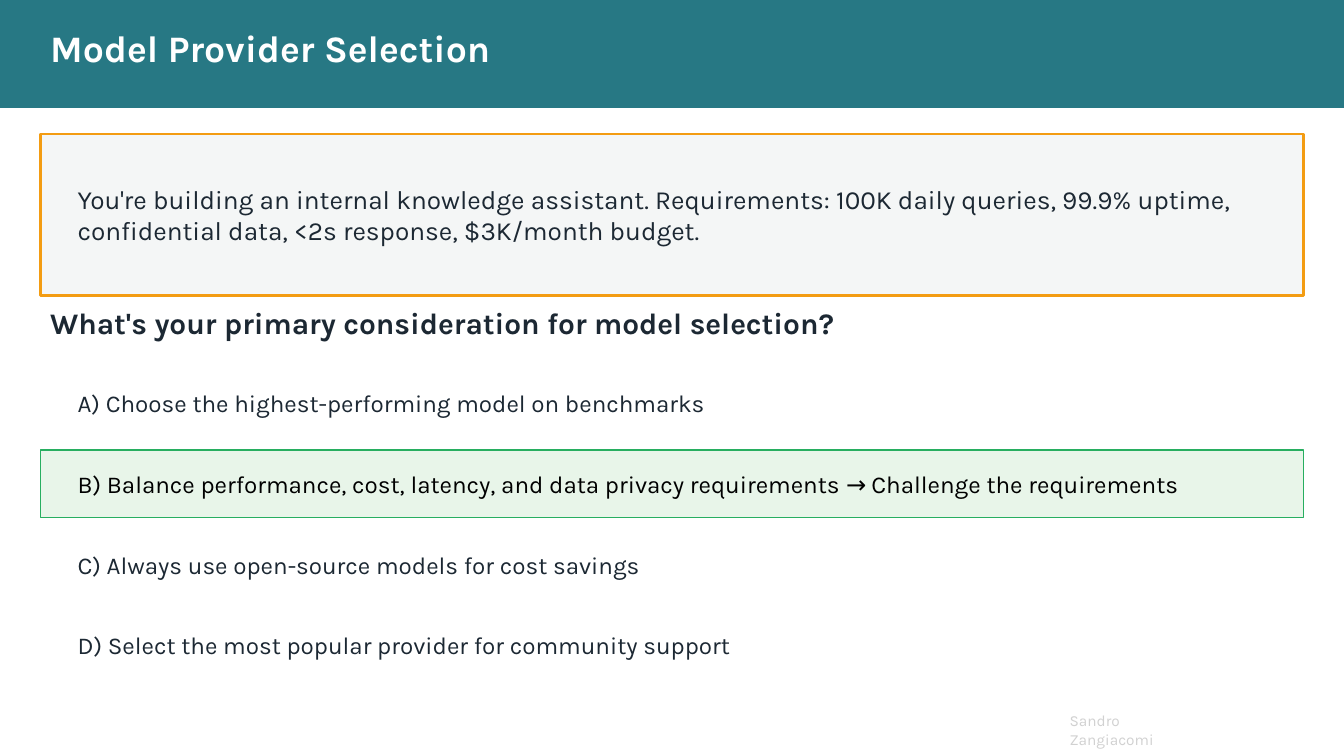
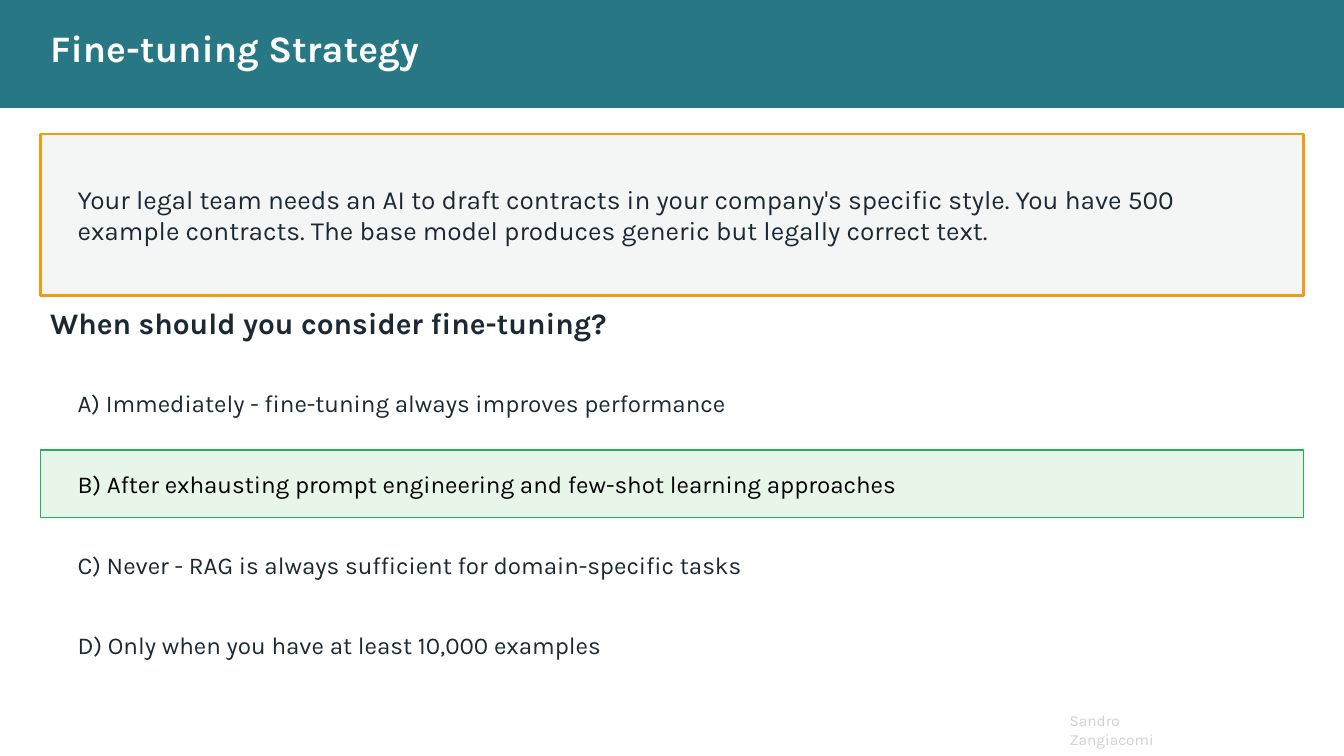
from pptx import Presentation
from pptx.dml.color import RGBColor
from pptx.enum.shapes import MSO_SHAPE as Shape
from pptx.enum.text import MSO_ANCHOR as Anchor, PP_ALIGN as Align
from pptx.util import Inches, Pt

TEAL = RGBColor(0x27, 0x78, 0x84)
ORANGE = RGBColor(0xF3, 0x9C, 0x12)
GREEN = RGBColor(0x27, 0xAE, 0x60)
PALE_GREEN = RGBColor(0xE8, 0xF5, 0xE9)
PALE_GRAY = RGBColor(0xF4, 0xF6, 0xF6)
FOOTER_GRAY = RGBColor(0xD1, 0xD1, 0xD1)
INK = RGBColor(0x1C, 0x28, 0x33)
BLACK = RGBColor(0, 0, 0)
WHITE = RGBColor(0xFF, 0xFF, 0xFF)

FONT = "Karla"
SLIDE_WIDTH, SLIDE_HEIGHT = 13.33, 7.5
MARGIN = 0.4
CONTENT_WIDTH = SLIDE_WIDTH - 2 * MARGIN
INSET, WIDE_INSET = 0.1, 0.37
OPTION_CENTER, OPTION_STEP, OPTION_HEIGHT = 4, 0.8, 0.67

QUIZZES = [
    {
        "title": "Model Provider Selection",
        "scenario": "You're building an internal knowledge assistant. Requirements: "
                    "100K daily queries, 99.9% uptime, confidential data, "
                    "<2s response, $3K/month budget.",
        "question": "What's your primary consideration for model selection?",
        "options": [
            "A) Choose the highest-performing model on benchmarks",
            "B) Balance performance, cost, latency, and data privacy requirements "
            "→ Challenge the requirements",
            "C) Always use open-source models for cost savings",
            "D) Select the most popular provider for community support",
        ],
        "answer": 1,
    },
    {
        "title": "Fine-tuning Strategy",
        "scenario": "Your legal team needs an AI to draft contracts in your company's "
                    "specific style. You have 500 example contracts. The base model "
                    "produces generic but legally correct text.",
        "question": "When should you consider fine-tuning?",
        "options": [
            "A) Immediately - fine-tuning always improves performance",
            "B) After exhausting prompt engineering and few-shot learning approaches",
            "C) Never - RAG is always sufficient for domain-specific tasks",
            "D) Only when you have at least 10,000 examples",
        ],
        "answer": 1,
    },
]


class QuizDeck:
    """Holds the presentation, its style and the current slide."""

    def __init__(self):
        self.presentation = Presentation()
        self.presentation.slide_width = Inches(SLIDE_WIDTH)
        self.presentation.slide_height = Inches(SLIDE_HEIGHT)
        self.slide = None

    def set_text(self, shape, text, size, color, bold=False, inset=INSET,
                 anchor=Anchor.MIDDLE):
        frame = shape.text_frame
        frame.text = text
        frame.word_wrap = True
        frame.vertical_anchor = anchor
        frame.margin_left = frame.margin_right = Inches(inset)
        paragraph = frame.paragraphs[0]
        paragraph.alignment = Align.LEFT
        font = paragraph.runs[0].font
        font.name, font.size, font.bold = FONT, Pt(size), bold
        font.color.rgb = color

    def text_box(self, left, top, width, height, text, size, color, **style):
        shape = self.slide.shapes.add_textbox(
            Inches(left), Inches(top), Inches(width), Inches(height))
        self.set_text(shape, text, size, color, **style)

    def panel(self, left, top, width, height, fill, line=None, line_width=1):
        shape = self.slide.shapes.add_shape(
            Shape.RECTANGLE, Inches(left), Inches(top), Inches(width), Inches(height))
        shape.shadow.inherit = False
        shape.fill.solid()
        shape.fill.fore_color.rgb = fill
        if line is None:
            shape.line.fill.background()
        else:
            shape.line.color.rgb = line
            shape.line.width = Pt(line_width)
        return shape

    def start_slide(self, title):
        """Add a slide with the shared footer and title band."""
        self.slide = self.presentation.slides.add_slide(self.presentation.slide_layouts[6])
        self.text_box(10.51, 7.01, 1.3, 0.49, "Sandro Zangiacomi", 11, FOOTER_GRAY,
                      anchor=Anchor.TOP)
        self.panel(0, 0, SLIDE_WIDTH, 1.07, TEAL)
        self.text_box(MARGIN, 0.17, 10, 0.6, title, 26.7, WHITE, bold=True)

    def scenario(self, text):
        shape = self.panel(MARGIN, 1.33, CONTENT_WIDTH, 1.6, PALE_GRAY, ORANGE, 2)
        self.set_text(shape, text, 18.7, INK, inset=WIDE_INSET)

    def question(self, text):
        self.text_box(MARGIN, 2.95, CONTENT_WIDTH, 0.5, text, 21.3, INK, bold=True)

    def option(self, index, text, correct):
        top = OPTION_CENTER + index * OPTION_STEP - OPTION_HEIGHT / 2
        area = (MARGIN, top, CONTENT_WIDTH, OPTION_HEIGHT)
        if correct:
            shape = self.panel(*area, PALE_GREEN, GREEN)
            self.set_text(shape, text, 17.3, BLACK, inset=WIDE_INSET)
        else:
            self.text_box(*area, text, 17.3, INK, inset=WIDE_INSET)


def main():
    deck = QuizDeck()
    for quiz in QUIZZES:
        deck.start_slide(quiz["title"])
        deck.scenario(quiz["scenario"])
        deck.question(quiz["question"])
        for index, text in enumerate(quiz["options"]):
            deck.option(index, text, correct=index == quiz["answer"])
    deck.presentation.save("out.pptx")


if __name__ == "__main__":
    main()
